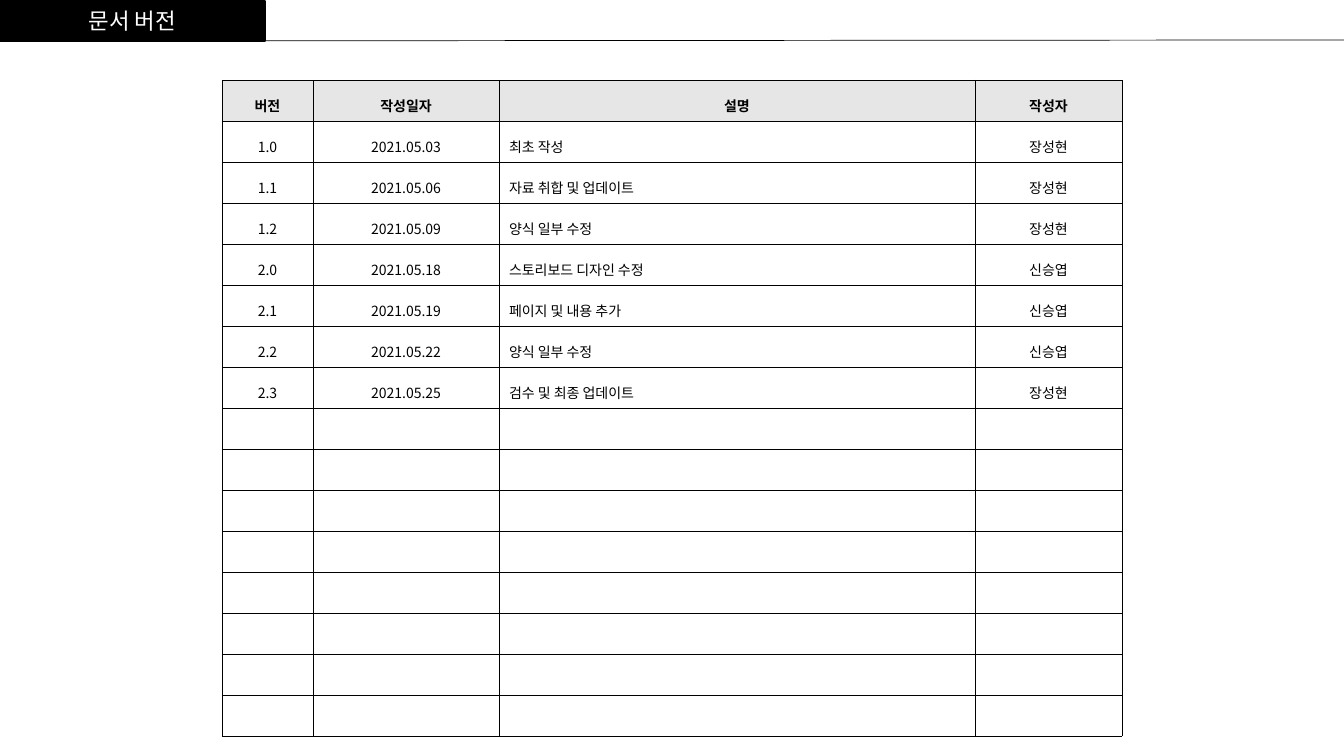
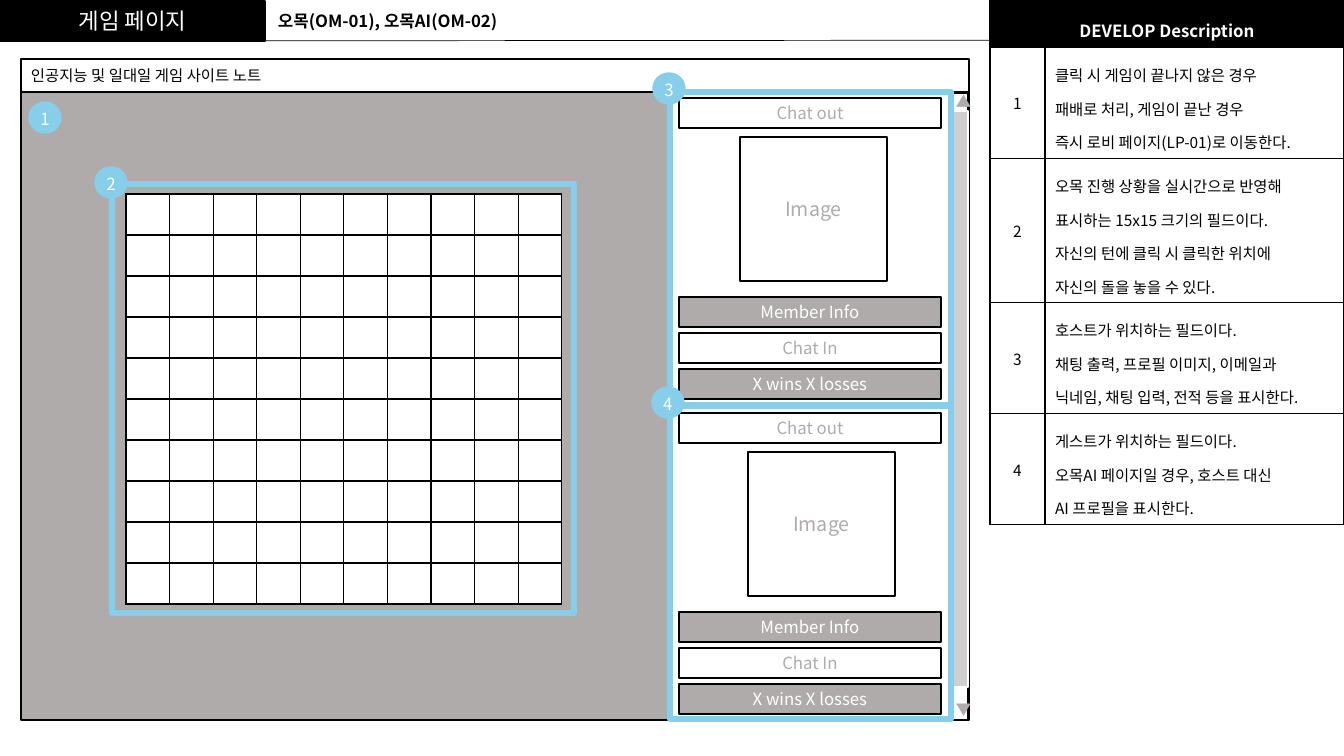
"""Build the version history and the game page storyboard slides."""
from lxml.etree import SubElement as Sub
from pptx import Presentation
from pptx.dml.color import RGBColor as Rgb
from pptx.enum.shapes import MSO_CONNECTOR as Conn, MSO_SHAPE as Kind
from pptx.enum.text import MSO_ANCHOR as Anchor, MSO_AUTO_SIZE as Auto, PP_ALIGN as Align
from pptx.oxml.ns import qn
from pptx.util import Pt

SCALE = 914400 / 100.8
WIDE, HIGH = 1344, 756
FONT = "Noto Sans CJK KR"
BLACK, WHITE, GRAY = "000000", "FFFFFF", "AFABAB"
PALE, BAR, BLUE = "E7E6E6", "D0CECE", "87CEEB"

HEADS = ["버전", "작성일자", "설명", "작성자"]
LOG = [
    ("1.0", "2021.05.03", "최초 작성", "장성현"),
    ("1.1", "2021.05.06", "자료 취합 및 업데이트", "장성현"),
    ("1.2", "2021.05.09", "양식 일부 수정", "장성현"),
    ("2.0", "2021.05.18", "스토리보드 디자인 수정", "신승엽"),
    ("2.1", "2021.05.19", "페이지 및 내용 추가", "신승엽"),
    ("2.2", "2021.05.22", "양식 일부 수정", "신승엽"),
    ("2.3", "2021.05.25", "검수 및 최종 업데이트", "장성현"),
]
SPARE = 8
LOG_COLS = [91, 186, 476, 147]

NOTES = [
    ["클릭 시 게임이 끝나지 않은 경우", "패배로 처리, 게임이 끝난 경우",
     "즉시 로비 페이지(LP-01)로 이동한다."],
    ["오목 진행 상황을 실시간으로 반영해", "표시하는 15x15 크기의 필드이다.",
     "자신의 턴에 클릭 시 클릭한 위치에", "자신의 돌을 놓을 수 있다."],
    ["호스트가 위치하는 필드이다.", "채팅 출력, 프로필 이미지, 이메일과",
     "닉네임, 채팅 입력, 전적 등을 표시한다."],
    ["게스트가 위치하는 필드이다.", "오목AI 페이지일 경우, 호스트 대신",
     "AI 프로필을 표시한다."],
]
NOTE_ROWS = [46, 111, 144, 111, 111]

PLAYERS = [(92, 98, 740), (405, 413, 748)]
SLOTS = [
    (0, "Chat out", WHITE, GRAY),
    (199, "Member Info", GRAY, WHITE),
    (235, "Chat In", WHITE, GRAY),
    (271, "X wins X losses", GRAY, WHITE),
]
BADGES = [(29, 102), (95, 167), (653, 73), (652, 387)]
ARROWS = [("▼", 695), ("▲", 87)]


def px(*nums):
    return [round(n * SCALE) for n in nums]


def paint(fill, color):
    fill.solid()
    fill.fore_color.rgb = Rgb.from_string(color)


def style(frame, size, color, align=Align.CENTER, bold=False, gap=None):
    for para in frame.paragraphs:
        para.alignment = align
        if gap:
            para.line_spacing = gap
        for run in para.runs:
            font = run.font
            font.size, font.bold, font.name = Pt(size), bold, FONT
            paint(font.fill, color)
            Sub(font._element, qn("a:ea"), typeface=FONT)
        if not para.runs:
            para._p.get_or_add_endParaRPr().set("sz", str(size * 100))


def box(slide, area, fill, line=BLACK, width=1, kind=Kind.RECTANGLE):
    shape = slide.shapes.add_shape(kind, *px(*area))
    shape.shadow.inherit = False
    if fill:
        paint(shape.fill, fill)
    else:
        shape.fill.background()
    paint(shape.line.fill, line)
    shape.line.width = Pt(width)
    return shape


def label(shape, text, size, color, align=Align.CENTER):
    frame = shape.text_frame
    frame.word_wrap = True
    frame.vertical_anchor = Anchor.MIDDLE
    frame.text = text
    style(frame, size, color, align)
    return frame


def note(slide, area, text, size, color, align=Align.LEFT, bold=False):
    frame = slide.shapes.add_textbox(*px(*area)).text_frame
    frame.word_wrap = True
    frame.text = text
    style(frame, size, color, align, bold)


def grid(slide, left, top, cols, rows, width):
    area = px(left, top, sum(cols), sum(rows))
    table = slide.shapes.add_table(len(rows), len(cols), *area).table
    table.first_row = table.horz_banding = False
    for col, size in zip(table.columns, px(*cols)):
        col.width = size
    for row, size in zip(table.rows, px(*rows)):
        row.height = size
    for cell in table.iter_cells():
        props = cell._tc.get_or_add_tcPr()
        for side in ("lnL", "lnR", "lnT", "lnB"):
            edge = Sub(props, qn("a:" + side), w=str(Pt(width)))
            Sub(Sub(edge, qn("a:solidFill")), qn("a:srgbClr"), val=BLACK)
        paint(cell.fill, WHITE)
        style(cell.text_frame, 10, BLACK)
    return table


def write(cell, text, size, color=BLACK, **look):
    cell.text_frame.text = text
    style(cell.text_frame, size, color, **look)


def page(deck, name):
    slide = deck.slides.add_slide(deck.slide_layouts[5])
    title = slide.shapes.title
    title.left, title.top, title.width, title.height = px(0, 1, 265, 40)
    paint(title.fill, BLACK)
    paint(title.line.fill, BLACK)
    title.line.width = Pt(1)
    label(title, name, 16, WHITE).auto_size = Auto.NONE
    rule = slide.shapes.add_connector(Conn.STRAIGHT, *px(0, 41, WIDE, 40))
    paint(rule.line.fill, BLACK)
    rule.line.width = Pt(0.5)
    Sub(rule._element.spPr, qn("a:effectLst"))
    return slide


def history(deck):
    slide = page(deck, "문서 버전")
    table = grid(slide, 222, 80, LOG_COLS, [41] * (1 + len(LOG) + SPARE), 0.25)
    for r, row in enumerate([HEADS] + LOG):
        for c, text in enumerate(row):
            cell = table.cell(r, c)
            align = Align.LEFT if r and c == 2 else Align.CENTER
            write(cell, text, 10, align=align, bold=r == 0, gap=1.5)
            if r == 0:
                paint(cell.fill, PALE)


def guide(slide):
    table = grid(slide, 990, 1, [55, 299], NOTE_ROWS, 1)
    head = table.cell(0, 0)
    head.merge(table.cell(0, 1))
    write(head, "DEVELOP Description", 12, WHITE, bold=True, gap=1.5)
    paint(head.fill, BLACK)
    for r, lines in enumerate(NOTES, 1):
        mark = table.cell(r, 0)
        mark.vertical_anchor = Anchor.MIDDLE
        write(mark, str(r), 11)
        write(table.cell(r, 1), "\n".join(lines), 11, align=Align.LEFT, gap=1.5)


def game(deck):
    slide = page(deck, "게임 페이지")
    box(slide, (21, 92, 948, 628), GRAY)
    guide(slide)
    bar = box(slide, (21, 59, 948, 33), WHITE)
    label(bar, "인공지능 및 일대일 게임 사이트 노트", 11, BLACK, Align.LEFT)
    note(slide, (268, 6, 302, 30), "오목(OM-01), 오목AI(OM-02)", 12, BLACK, bold=True)
    grid(slide, 126, 194, [43.6] * 10, [41] * 10, 1)
    box(slide, (112, 184, 462, 429), None, BLUE, 4.5)
    for top, _, _ in PLAYERS:
        box(slide, (672, top + 1, 296, 719 - top), WHITE)
    box(slide, (952, 111, 16, 576), BAR, WHITE)
    for mark, top in ARROWS:
        note(slide, (946, top, 31, 29), mark, 11, GRAY, Align.CENTER)
    for top, first, left in PLAYERS:
        label(box(slide, (left, first + 39, 147, 144), WHITE), "Image", 14, GRAY)
        for down, text, fill, color in SLOTS:
            label(box(slide, (679, first + down, 262, 30), fill), text, 12, color)
        box(slide, (670, top, 281, 314), None, BLUE, 4.5)
    for num, (left, top) in enumerate(BADGES, 1):
        dot = box(slide, (left, top, 32, 31), BLUE, BLUE, 1, Kind.FLOWCHART_CONNECTOR)
        frame = label(dot, str(num), 12, WHITE)
        frame.margin_left = frame.margin_right = frame.margin_bottom = 0
        frame.margin_top = px(3)[0]


def main():
    deck = Presentation()
    deck.slide_width, deck.slide_height = px(WIDE, HIGH)
    history(deck)
    game(deck)
    deck.save("out.pptx")


if __name__ == "__main__":
    main()
